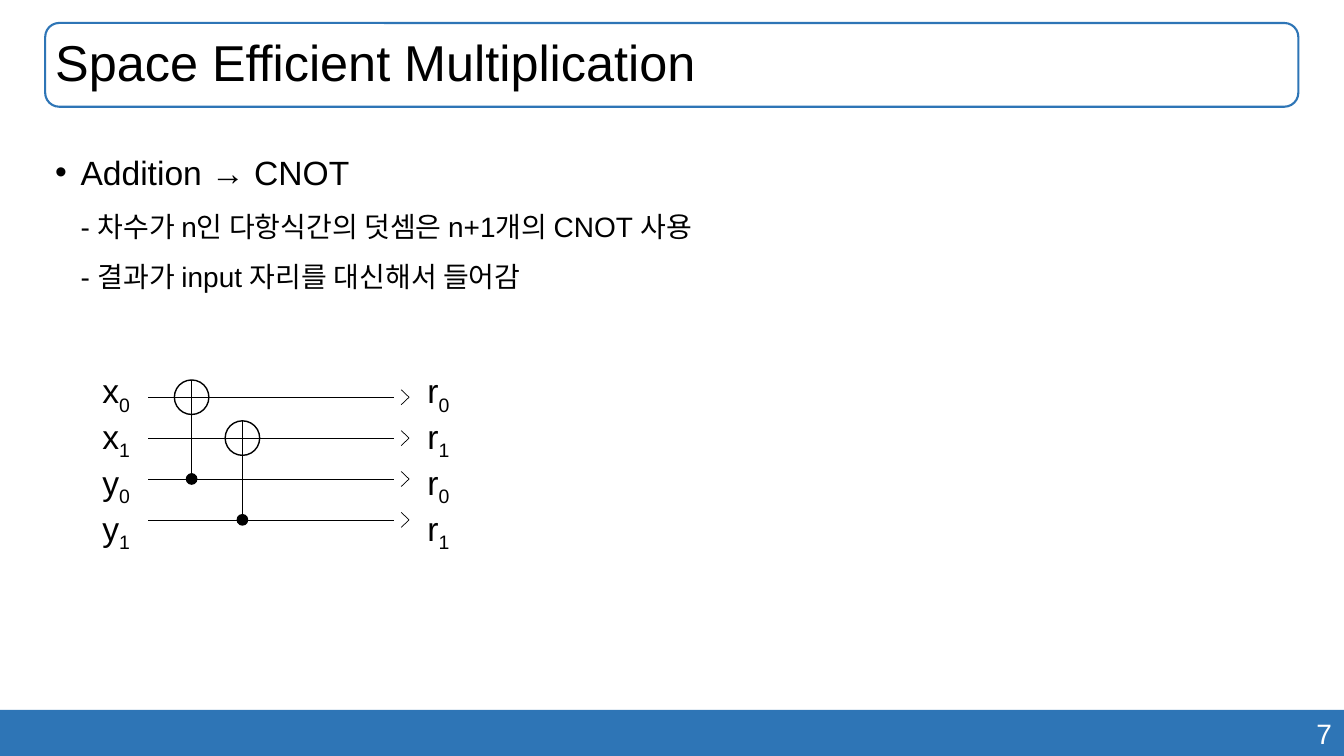
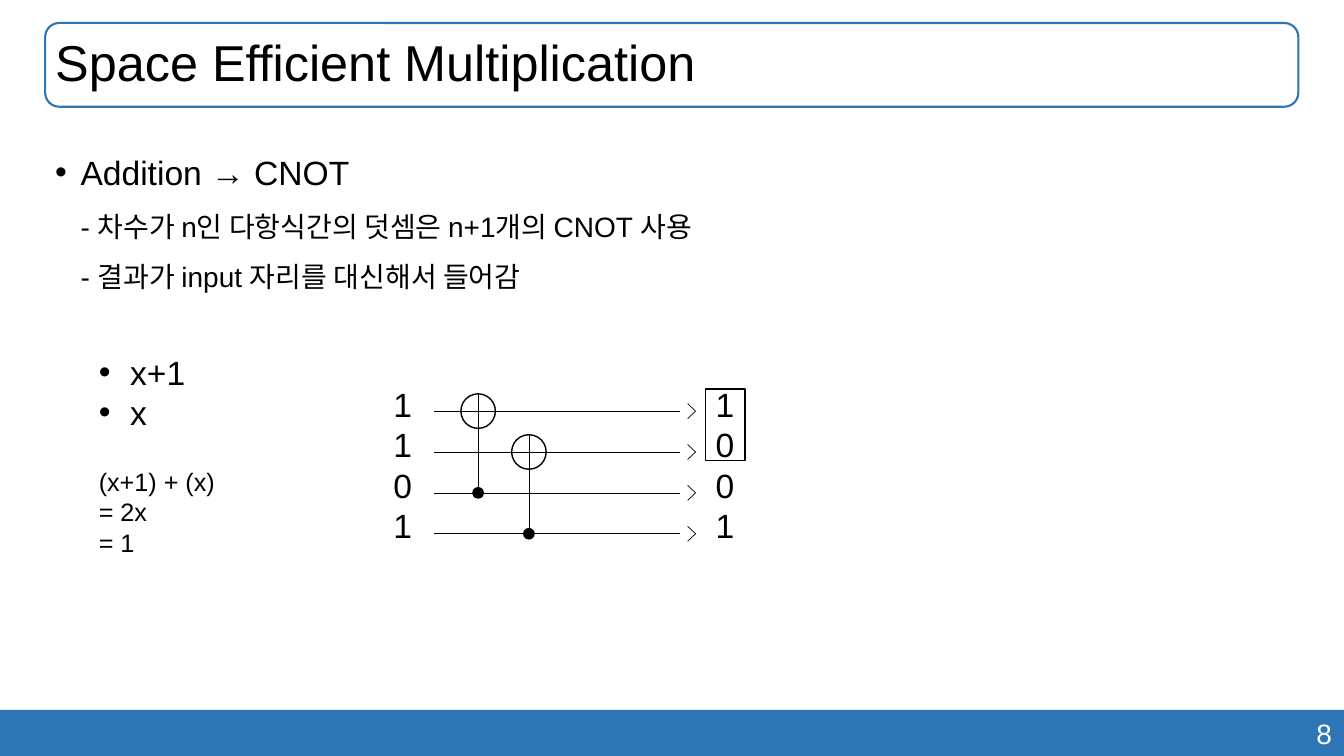
from dataclasses import dataclass

from lxml import etree
from pptx import Presentation
from pptx.dml.color import RGBColor
from pptx.enum.shapes import MSO_CONNECTOR, MSO_SHAPE
from pptx.enum.text import MSO_ANCHOR, PP_ALIGN
from pptx.oxml.ns import qn
from pptx.util import Cm, Pt

LEFT, CENTER, RIGHT = PP_ALIGN.LEFT, PP_ALIGN.CENTER, PP_ALIGN.RIGHT
TOP, MIDDLE = MSO_ANCHOR.TOP, MSO_ANCHOR.MIDDLE
RECTANGLE, ROUNDED, OVAL = MSO_SHAPE.RECTANGLE, MSO_SHAPE.ROUNDED_RECTANGLE, MSO_SHAPE.OVAL
STRAIGHT = MSO_CONNECTOR.STRAIGHT

FONT = "Arial"
BLUE, BLACK, WHITE = "2E75B6", "000000", "FFFFFF"
SLIDE_WIDTH, SLIDE_HEIGHT = 33.87, 19.05
MARGIN, CONTENT_WIDTH = 1.14, 31.58
FOOTER_HEIGHT = 1.16

# Circuit measures in cm, relative to the start of the first wire
WIRE_LENGTH, WIRE_GAP = 6.2, 1.03
GATE_OFFSET, GATE_GAP, GATE_SIZE = 1.1, 1.28, 0.87
DOT_SIZE = 0.26
ARROW_OFFSET, ARROW_DEPTH, ARROW_RISE = 6.38, 0.2, 0.19
LABEL_WIDTH, LABEL_RISE = 1.2, 0.81
INPUT_CENTER, OUTPUT_CENTER = -0.8, 7.32


@dataclass(frozen=True)
class Run:
    text: str
    size: float = 24
    color: str = BLACK
    subscript: bool = False


@dataclass(frozen=True)
class Para:
    runs: tuple[Run, ...]
    align: PP_ALIGN = LEFT
    spacing: float = 1.0
    hanging: float = 0  # bullet indent in cm, 0 for no bullet


@dataclass(frozen=True)
class Circuit:
    left: float
    top: float
    inputs: tuple[tuple[str, str], ...]  # symbol and subscript
    outputs: tuple[tuple[str, str], ...]


ADDITION = Para((
    Run("Addition → CNOT\n"),
    Run("- 차수가 n인 다항식간의 덧셈은 n+1개의 CNOT 사용\n"
        "- 결과가 input 자리를 대신해서 들어감", 20),
), spacing=1.5, hanging=0.64)

SYMBOLIC = Circuit(3.73, 10.01,
                   (("x", "0"), ("x", "1"), ("y", "0"), ("y", "1")),
                   (("r", "0"), ("r", "1"), ("r", "0"), ("r", "1")))
EXAMPLE = Circuit(10.95, 10.36,
                  (("1", ""), ("1", ""), ("0", ""), ("1", "")),
                  (("1", ""), ("0", ""), ("0", ""), ("1", "")))


def rgb(value: str) -> RGBColor:
    return RGBColor.from_string(value)


# Text
def write(frame, paras: list[Para], anchor=TOP, wrap: bool = True) -> None:
    frame.word_wrap = wrap
    frame.vertical_anchor = anchor
    for index, para in enumerate(paras):
        paragraph = frame.add_paragraph() if index else frame.paragraphs[0]
        if para.hanging:
            properties = paragraph._p.get_or_add_pPr()
            properties.set("marL", str(Cm(para.hanging)))
            properties.set("indent", str(-Cm(para.hanging)))
            etree.SubElement(properties, qn("a:buFont")).set("typeface", FONT)
            etree.SubElement(properties, qn("a:buChar")).set("char", "•")
        paragraph.alignment = para.align
        paragraph.line_spacing = para.spacing
        for run in para.runs:
            add_run(paragraph, run)


def add_run(paragraph, run: Run) -> None:
    for index, line in enumerate(run.text.split("\n")):
        if index:
            paragraph.add_line_break()
        if not line:
            continue
        piece = paragraph.add_run()
        piece.text = line
        piece.font.name = FONT
        piece.font.size = Pt(run.size)
        piece.font.color.rgb = rgb(run.color)
        if run.subscript:
            piece.font._element.set("baseline", "-25000")


def add_text(shapes, left: float, top: float, width: float, height: float,
             paras: list[Para], wrap: bool = True) -> None:
    box = shapes.add_textbox(Cm(left), Cm(top), Cm(width), Cm(height))
    write(box.text_frame, paras, wrap=wrap)


# Shapes and lines
def add_shape(shapes, kind, left: float, top: float, width: float, height: float,
              fill: str = "", line: str = "", weight: float = 1):
    shape = shapes.add_shape(kind, Cm(left), Cm(top), Cm(width), Cm(height))
    shape.shadow.inherit = False
    if fill:
        shape.fill.solid()
        shape.fill.fore_color.rgb = rgb(fill)
    else:
        shape.fill.background()
    if line:
        shape.line.color.rgb = rgb(line)
        shape.line.width = Pt(weight)
    else:
        shape.line.fill.background()
    return shape


def add_circle(shapes, x: float, y: float, size: float, fill: str = "") -> None:
    add_shape(shapes, OVAL, x - size / 2, y - size / 2, size, size, fill, BLACK)


def add_line(shapes, x1: float, y1: float, x2: float, y2: float) -> None:
    line = shapes.add_connector(STRAIGHT, Cm(x1), Cm(y1), Cm(x2), Cm(y2))
    line.line.color.rgb = rgb(BLACK)
    line.line.width = Pt(0.5)
    etree.SubElement(line._element.spPr, qn("a:effectLst"))


# Circuit of CNOT gates
def add_labels(shapes, center: float, top: float, labels: tuple[tuple[str, str], ...]) -> None:
    paras = [Para((Run(symbol), Run(index, subscript=True)), CENTER) for symbol, index in labels]
    add_text(shapes, center - LABEL_WIDTH / 2, top - LABEL_RISE, LABEL_WIDTH, 4.37,
             paras, wrap=False)


def add_circuit(slide, circuit: Circuit) -> None:
    shapes = slide.shapes.add_group_shape().shapes
    left = circuit.left
    wires = [circuit.top + row * WIRE_GAP for row in range(len(circuit.inputs))]

    # Wires with open arrowheads
    tip = left + ARROW_OFFSET + ARROW_DEPTH
    for y in wires:
        add_line(shapes, left, y, left + WIRE_LENGTH, y)
        for rise in (-ARROW_RISE, ARROW_RISE):
            add_line(shapes, left + ARROW_OFFSET, y + rise, tip, y)

    add_labels(shapes, left + INPUT_CENTER, circuit.top, circuit.inputs)
    add_labels(shapes, left + OUTPUT_CENTER, circuit.top, circuit.outputs)

    # Gates: target in the upper half, control in the lower half
    half = len(wires) // 2
    for index, (target, control) in enumerate(zip(wires[:half], wires[half:])):
        x = left + GATE_OFFSET + index * GATE_GAP
        add_circle(shapes, x, target, GATE_SIZE)
        add_line(shapes, x, target - GATE_SIZE / 2, x, control)
        add_circle(shapes, x, control, DOT_SIZE, BLACK)


# Frame shared by the slides
def add_addition_slide(prs, number: int):
    slide = prs.slides.add_slide(prs.slide_layouts[6])
    footer = add_shape(slide.shapes, RECTANGLE, 0, SLIDE_HEIGHT - FOOTER_HEIGHT,
                       SLIDE_WIDTH, FOOTER_HEIGHT, BLUE)
    footer.text_frame.margin_right = Cm(0.3)
    write(footer.text_frame, [Para((Run(str(number), 20, WHITE),), RIGHT)], MIDDLE)

    title = add_shape(slide.shapes, ROUNDED, MARGIN, 0.58, CONTENT_WIDTH, 2.11,
                      line=BLUE, weight=1.5)
    title.text_frame.margin_left = Cm(0.15)
    write(title.text_frame,
          [Para((Run("Space Efficient Multiplication", 36),), spacing=0.9)], MIDDLE)

    add_text(slide.shapes, MARGIN, 3.2, CONTENT_WIDTH, 14.05, [ADDITION])
    return slide


def main() -> None:
    prs = Presentation()
    prs.slide_width, prs.slide_height = Cm(SLIDE_WIDTH), Cm(SLIDE_HEIGHT)

    # Symbolic circuit
    add_circuit(add_addition_slide(prs, 7), SYMBOLIC)

    # Worked example
    example = add_addition_slide(prs, 8)
    add_circuit(example, EXAMPLE)
    add_text(example.shapes, 2.24, 8.74, 2.72, 2.31,
             [Para((Run(term),), hanging=0.79) for term in ("x+1", "x")], wrap=False)
    add_text(example.shapes, 2.24, 11.63, 3.48, 2.57,
             [Para((Run("(x+1) + (x)\n= 2x\n= 1", 18),))], wrap=False)
    add_shape(example.shapes, RECTANGLE, 17.78, 9.8, 1, 1.8, line=BLACK)

    prs.save("out.pptx")


if __name__ == "__main__":
    main()
